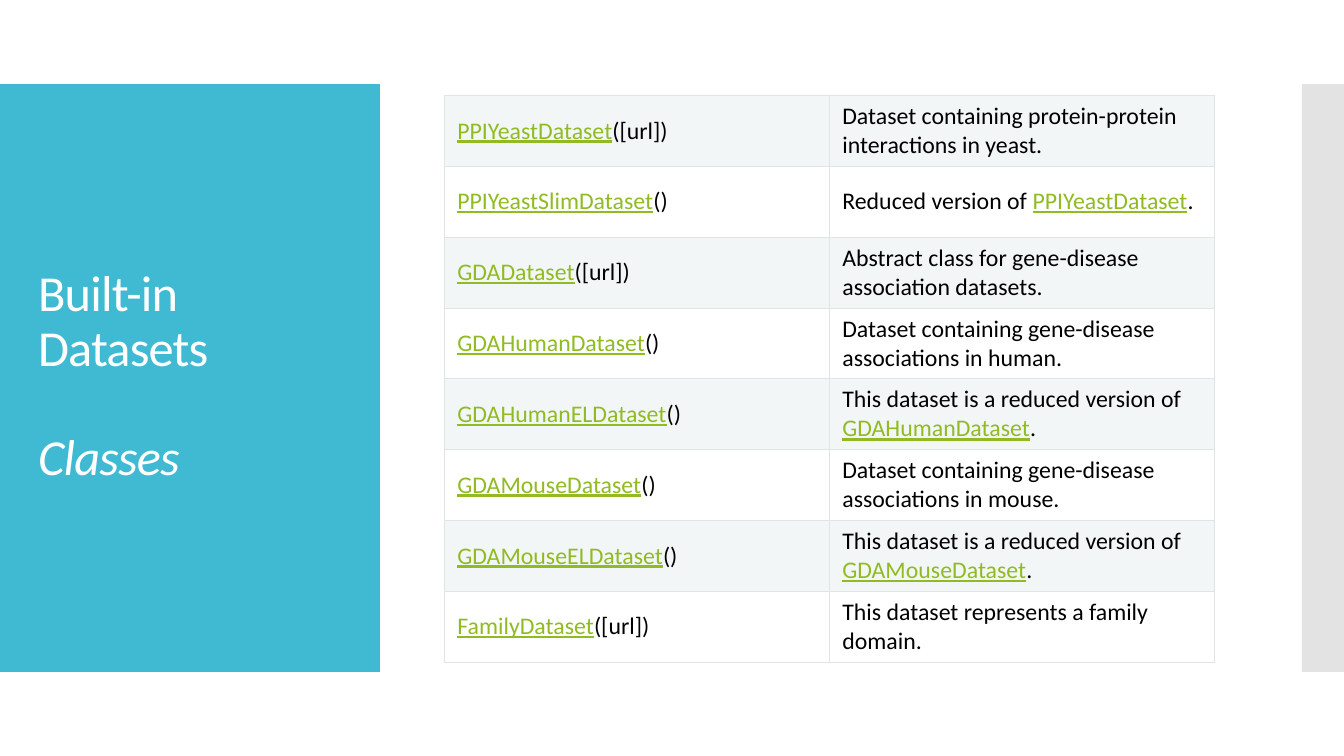
from copy import deepcopy
from dataclasses import dataclass
from lxml.etree import SubElement as Sub
from pptx import Presentation
from pptx.dml.color import RGBColor as Rgb
from pptx.enum.shapes import MSO_SHAPE as Kind
from pptx.enum.text import MSO_ANCHOR as Anchor, MSO_AUTO_SIZE as Fit, PP_ALIGN as Align
from pptx.oxml import parse_xml
from pptx.oxml.ns import nsdecls, qn
from pptx.util import Pt

TITLE = (("Built-in Datasets\n\n", False), ("Classes", True))
ROWS = (
    ("|PPIYeastDataset|([url])", "Dataset containing protein-protein interactions in yeast."),
    ("|PPIYeastSlimDataset|()", "Reduced version of |PPIYeastDataset|."),
    ("|GDADataset|([url])", "Abstract class for gene-disease association datasets."),
    ("|GDAHumanDataset|()", "Dataset containing gene-disease associations in human."),
    ("|GDAHumanELDataset|()", "This dataset is a reduced version of |GDAHumanDataset|."),
    ("|GDAMouseDataset|()", "Dataset containing gene-disease associations in mouse."),
    ("|GDAMouseELDataset|()", "This dataset is a reduced version of |GDAMouseDataset|."),
    ("|FamilyDataset|([url])", "This dataset represents a family domain."),
)


@dataclass(frozen=True)
class Theme:
    """Colours, font and type sizes of the slide."""
    font: str = "Calibri"
    head: float = 36
    body: float = 17
    teal: str = "40BAD2"
    grey: str = "C8C8C8"
    band: str = "F3F6F6"
    rule: str = "E1E4E5"
    link: str = "90BB23"
    ink: str = "000000"
    white: str = "FFFFFF"


LOOK = Theme()
WIDE, HIGH = 960, 540
TOP, TALL = 60, 420
LEFT, HEAD, COL, ROW = 317.5, 68.2, 275, 50.6


def write(para, text, size=LOOK.body, color=LOOK.ink, italic=False, under=False, space=0):
    """Add formatted text to a paragraph, with a line break at each newline."""
    for num, line in enumerate(text.split("\n")):
        if num:
            para.add_line_break()
        run = para.add_run()
        run.text = line
        font = run.font
        font.name, font.size, font.italic, font.underline = LOOK.font, Pt(size), italic, under
        font.color.rgb = Rgb.from_string(color)
        props = run._r.get_or_add_rPr()
        if space:
            props.set("spc", str(space))
        if num:
            run._r.getprevious().append(deepcopy(props))
        if not line:
            para._p.remove(run._r)


def block(slide, left, width, color, alpha=None):
    """Draw a plain side panel."""
    shape = slide.shapes.add_shape(Kind.RECTANGLE, Pt(left), Pt(TOP), Pt(width), Pt(TALL))
    shape.shadow.inherit = False
    shape.fill.solid()
    shape.fill.fore_color.rgb = Rgb.from_string(color)
    shape.line.fill.background()
    if alpha:
        tone = shape._element.spPr.find(qn("a:solidFill"))[0]
        Sub(tone, qn("a:alpha"), val=str(alpha * 1000))


def border(cell):
    """Draw a thin rule on all four sides of a cell."""
    props = cell._tc.get_or_add_tcPr()
    for num, side in enumerate("LRTB"):
        props.insert(num, parse_xml(
            f'<a:ln{side} {nsdecls("a")} w="{Pt(0.6)}"><a:solidFill>'
            f'<a:srgbClr val="{LOOK.rule}"/></a:solidFill></a:ln{side}>'))


def fill(cell, text, band):
    """Format one cell and write its text, with links between bars."""
    cell.vertical_anchor = Anchor.MIDDLE
    cell.margin_left = cell.margin_right = Pt(9.2)
    cell.margin_top = cell.margin_bottom = Pt(4.5)
    if band:
        cell.fill.solid()
        cell.fill.fore_color.rgb = Rgb.from_string(LOOK.band)
    else:
        cell.fill.background()
    border(cell)
    for num, part in enumerate(text.split("|")):
        if part:
            link = num % 2 == 1
            write(cell.text_frame.paragraphs[0], part,
                  color=LOOK.link if link else LOOK.ink, under=link)


def name(slide):
    """Place and write the title above the teal panel."""
    title = slide.shapes.title
    title.left, title.top, title.width, title.height = Pt(20), Pt(88.5), Pt(232), Pt(362)
    frame = title.text_frame
    frame.word_wrap, frame.auto_size = True, Fit.NONE
    frame.vertical_anchor = Anchor.MIDDLE
    para = frame.paragraphs[0]
    para.alignment, para.line_spacing = Align.LEFT, 0.9
    for text, italic in TITLE:
        write(para, text, size=LOOK.head, color=LOOK.white, italic=italic, space=-60)
    slide.shapes._spTree.append(title._element)


def grid(slide):
    """Build the table of dataset classes."""
    count = len(ROWS)
    table = slide.shapes.add_table(
        count, 2, Pt(LEFT), Pt(HEAD), Pt(2 * COL), Pt(count * ROW)).table
    table.first_row = table.horz_banding = False
    for row, texts in enumerate(ROWS):
        table.rows[row].height = Pt(ROW)
        for col, text in enumerate(texts):
            fill(table.cell(row, col), text, row % 2 == 0)


def main():
    """Build and save the slide."""
    deck = Presentation()
    deck.slide_width, deck.slide_height = Pt(WIDE), Pt(HIGH)
    slide = deck.slides.add_slide(deck.slide_layouts[5])
    block(slide, 0, 271.3, LOOK.teal)
    block(slide, 930, 30, LOOK.grey, alpha=50)
    name(slide)
    grid(slide)
    deck.save("out.pptx")


if __name__ == "__main__":
    main()
